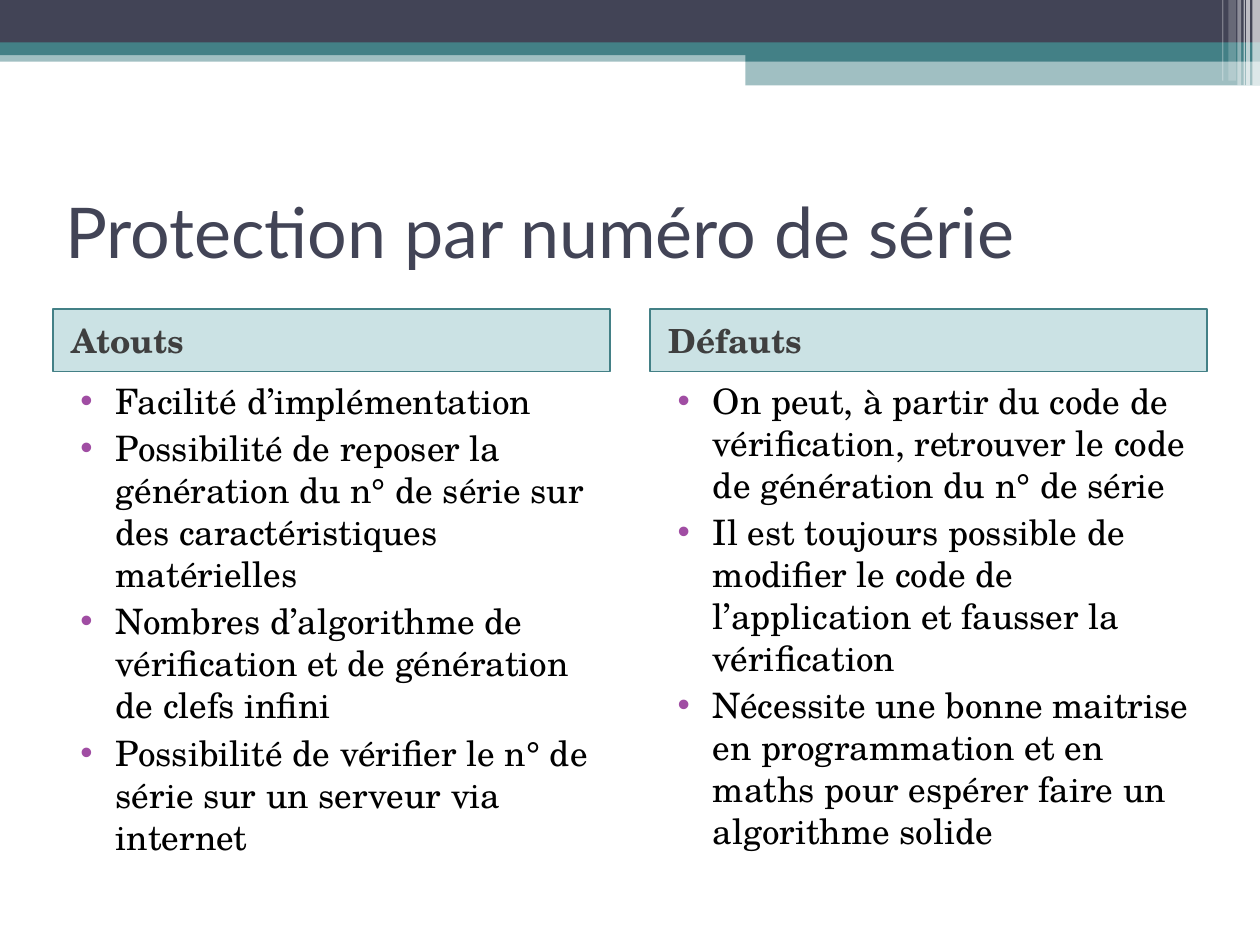
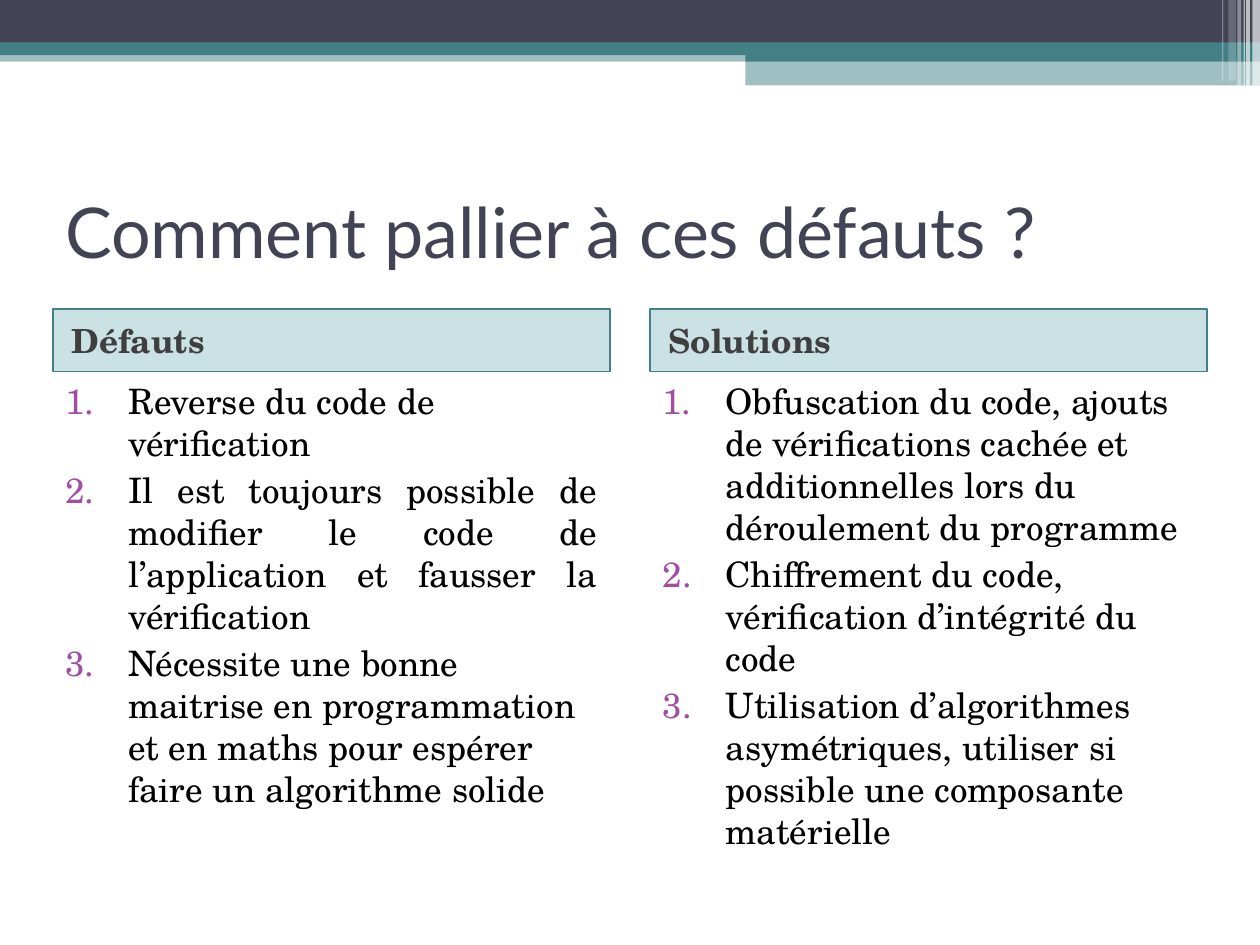
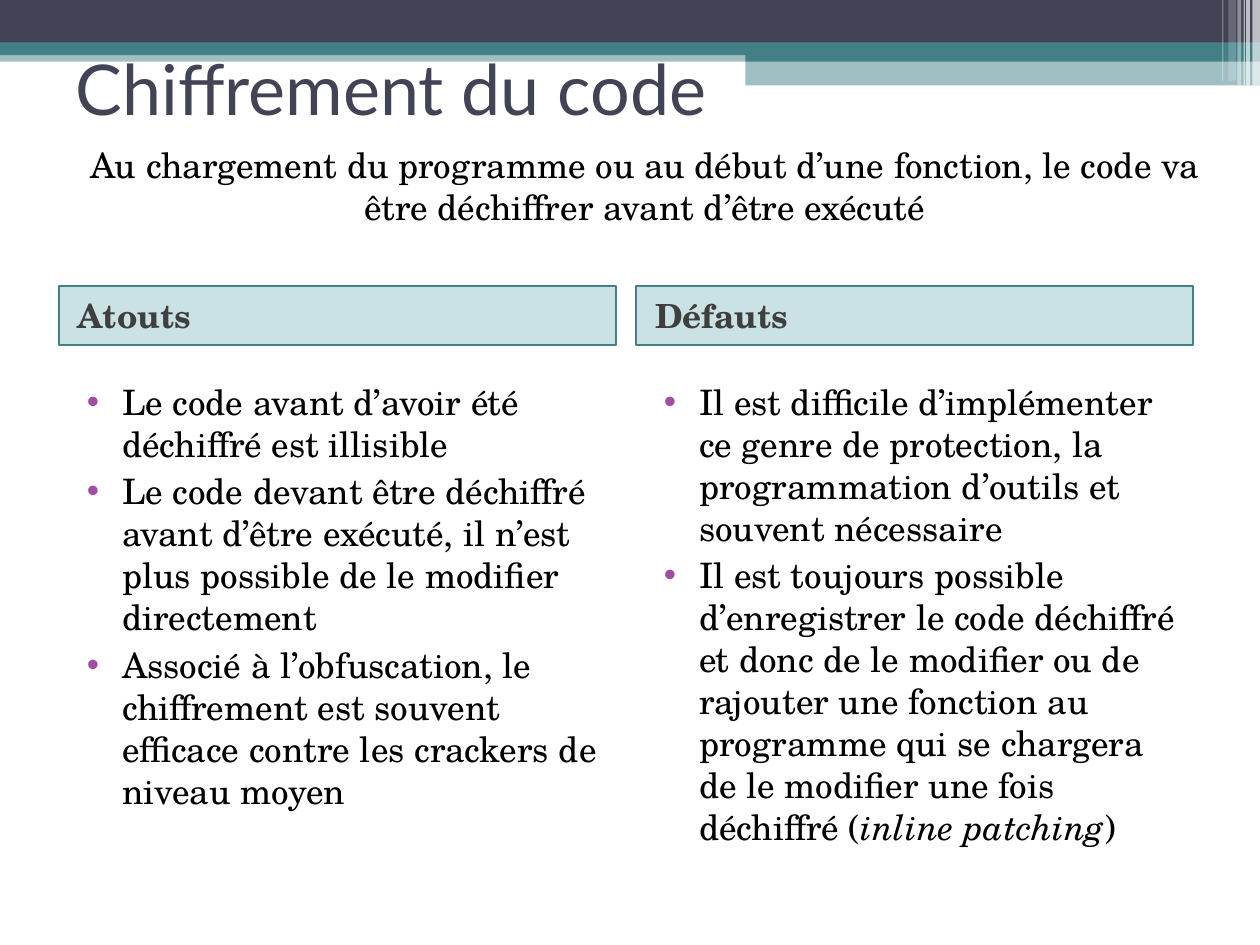
from collections import namedtuple

from lxml.etree import SubElement
from pptx import Presentation
from pptx.dml.color import RGBColor
from pptx.enum.shapes import MSO_SHAPE
from pptx.enum.text import MSO_ANCHOR, MSO_AUTO_SIZE, PP_ALIGN
from pptx.oxml.ns import qn
from pptx.util import Pt

NAVY, TEAL, AQUA = "424456", "438086", "328E97"
PURPLE, GREY, BLACK, WHITE = "A04DA3", "3F3F3F", "000000", "FFFFFF"
TITLE_FONT, BODY_FONT = "Lato", "TeX Gyre Schola"
PAGE_WIDTH, PAGE_HEIGHT = 720, 540
COLUMN_WIDTH = 318.24

BANDS = [
    (0, 28.8, PAGE_WIDTH, 6.48, TEAL, 50),
    (0, 0, PAGE_WIDTH, 24.48, NAVY, 100),
    (0, 24.3, PAGE_WIDTH, 7.2, TEAL, 100),
    (426, 28.08, 294, 7.2, TEAL, 100),
    (426, 35.28, 294, 13.5, TEAL, 50),
    (715.68, 0, 4.32, 48.78, WHITE, 65),
    (712.08, 0, 2.16, 48.78, WHITE, 65),
    (710.64, 0, 0.72, 48.78, WHITE, 60),
    (707.04, 0, 2.16, 48.78, WHITE, 40),
    (702, 0, 4.32, 46.08, WHITE, 20),
    (698.4, 0, 0.72, 46.08, WHITE, 30),
]

Column = namedtuple("Column", "heading items height")


def color(value):
    return RGBColor.from_string(value)


def add_rectangle(page, left, top, width, height, fill, opacity=100, line=None):
    box = page.shapes.add_shape(
        MSO_SHAPE.RECTANGLE, Pt(left), Pt(top), Pt(width), Pt(height))
    box.shadow.inherit = False
    box.fill.solid()
    box.fill.fore_color.rgb = color(fill)
    if opacity < 100:
        fill_color = box.element.spPr.find(qn("a:solidFill"))[0]
        SubElement(fill_color, qn("a:alpha"), val=str(opacity * 1000))
    if line:
        box.line.color.rgb = color(line)
        box.line.width = Pt(1)
    else:
        box.line.fill.background()
    return box


def set_frame(box, anchor=MSO_ANCHOR.TOP):
    frame = box.text_frame
    frame.word_wrap = True
    frame.auto_size = MSO_AUTO_SIZE.NONE
    frame.vertical_anchor = anchor
    frame.margin_left = frame.margin_right = Pt(7.2)
    frame.margin_top = frame.margin_bottom = Pt(3.6)
    return frame


def write(para, text, font=BODY_FONT, size=20, fill=BLACK, bold=False,
          align=PP_ALIGN.LEFT, left=0, indent=0):
    para.alignment = align
    properties = para._p.get_or_add_pPr()
    properties.set("marL", str(Pt(left)))
    properties.set("indent", str(Pt(indent)))
    for position, part in enumerate(text.split("*")):
        span = para.add_run()
        span.text = part
        span.font.name = font
        span.font.size = Pt(size)
        span.font.bold = bold
        span.font.italic = position % 2 == 1
        span.font.color.rgb = color(fill)


def add_marker(para, numbered):
    properties = para._p.get_or_add_pPr()
    marker_color = SubElement(properties, qn("a:buClr"))
    SubElement(marker_color, qn("a:srgbClr"), val=PURPLE)
    if numbered:
        SubElement(properties, qn("a:buFont"), typeface=BODY_FONT)
        SubElement(properties, qn("a:buAutoNum"), type="arabicPeriod")
    else:
        SubElement(properties, qn("a:buFont"), typeface="Arial")
        SubElement(properties, qn("a:buChar"), char="•")


def add_text_box(page, left, top, width, height):
    return page.shapes.add_textbox(Pt(left), Pt(top), Pt(width), Pt(height))


def add_list(page, left, top, height, items, numbered=False, justified=()):
    frame = set_frame(add_text_box(page, left, top, COLUMN_WIDTH, height))
    margin, indent = (36, -36) if numbered else (28.8, -20.16)
    for index, item in enumerate(items):
        para = frame.add_paragraph() if index else frame.paragraphs[0]
        add_marker(para, numbered)
        align = PP_ALIGN.JUSTIFY if item in justified else PP_ALIGN.LEFT
        write(para, item, align=align, left=margin, indent=indent)
        if index:
            para.space_before = Pt(3)


def add_heading(page, left, top, height, text):
    box = add_rectangle(
        page, left, top, COLUMN_WIDTH, height, AQUA, opacity=25, line=TEAL)
    frame = set_frame(box, MSO_ANCHOR.MIDDLE)
    write(frame.paragraphs[0], text, size=19, fill=GREY, bold=True, left=3.6)


def add_columns(page, columns, lefts=(30.24, 371.52), heading_top=176.4,
                heading_height=36, list_top=213.12, **list_format):
    for left, column in zip(lefts, columns):
        add_heading(page, left, heading_top, heading_height, column.heading)
        add_list(page, left, list_top, column.height, column.items, **list_format)


def add_page(deck, title, left=30, top=90, width=660, height=84):
    page = deck.slides.add_slide(deck.slide_layouts[5])
    box = page.shapes.title
    box.left, box.top, box.width, box.height = map(Pt, (left, top, width, height))
    frame = set_frame(box, MSO_ANCHOR.MIDDLE)
    write(frame.paragraphs[0], title, font=TITLE_FONT, size=40, fill=NAVY)
    return page


def move_bands_to_layout(page):
    for position, band in enumerate(BANDS, start=2):
        box = add_rectangle(page, *band)
        page.slide_layout.shapes.element.insert(position, box.element)


def main():
    deck = Presentation()
    deck.slide_width, deck.slide_height = Pt(PAGE_WIDTH), Pt(PAGE_HEIGHT)

    tampering = ("Il est toujours possible de modifier le code de "
                 "l’application et fausser la vérification")
    expertise = ("Nécessite une bonne maitrise en programmation et en maths "
                 "pour espérer faire un algorithme solide")

    page = add_page(deck, "Protection par numéro de série")
    move_bands_to_layout(page)
    add_columns(page, [
        Column("Atouts", [
            "Facilité d’implémentation",
            "Possibilité de reposer la génération du n° de série sur des "
            "caractéristiques matérielles",
            "Nombres d’algorithme de vérification et de génération de clefs infini",
            "Possibilité de vérifier le n° de série sur un serveur via internet",
        ], 307),
        Column("Défauts", [
            "On peut, à partir du code de vérification, retrouver le code de "
            "génération du n° de série",
            tampering,
            expertise,
        ], 306),
    ])

    page = add_page(deck, "Comment pallier à ces défauts ?")
    add_columns(page, [
        Column("Défauts", [
            "Reverse du code de vérification",
            tampering,
            expertise,
        ], 306),
        Column("Solutions", [
            "Obfuscation du code, ajouts de vérifications cachée et "
            "additionnelles lors du déroulement du programme",
            "Chiffrement du code, vérification d’intégrité du code",
            "Utilisation d’algorithmes asymétriques, utiliser si possible une "
            "composante matérielle",
        ], 326),
    ], numbered=True, justified=[tampering])

    page = add_page(deck, "Chiffrement du code", 36, 21.6, 648, 56.88)
    add_columns(page, [
        Column("Atouts", [
            "Le code avant d’avoir été déchiffré est illisible",
            "Le code devant être déchiffré avant d’être exécuté, il n’est plus "
            "possible de le modifier directement",
            "Associé à l’obfuscation, le chiffrement est souvent efficace contre "
            "les crackers de niveau moyen",
        ], 293),
        Column("Défauts", [
            "Il est difficile d’implémenter ce genre de protection, la "
            "programmation d’outils et souvent nécessaire",
            "Il est toujours possible d’enregistrer le code déchiffré et donc de "
            "le modifier ou de rajouter une fonction au programme qui se chargera "
            "de le modifier une fois déchiffré (*inline patching*)",
        ], 311),
    ], lefts=(33.84, 363.6), heading_top=163.44, heading_height=33.84,
        list_top=213.84)
    frame = set_frame(add_text_box(page, 39.6, 78.48, 658.08, 55.44))
    write(frame.paragraphs[0],
          "Au chargement du programme ou au début d’une fonction, le code va "
          "être déchiffrer avant d’être exécuté", align=PP_ALIGN.CENTER)

    deck.save("out.pptx")


if __name__ == "__main__":
    main()
